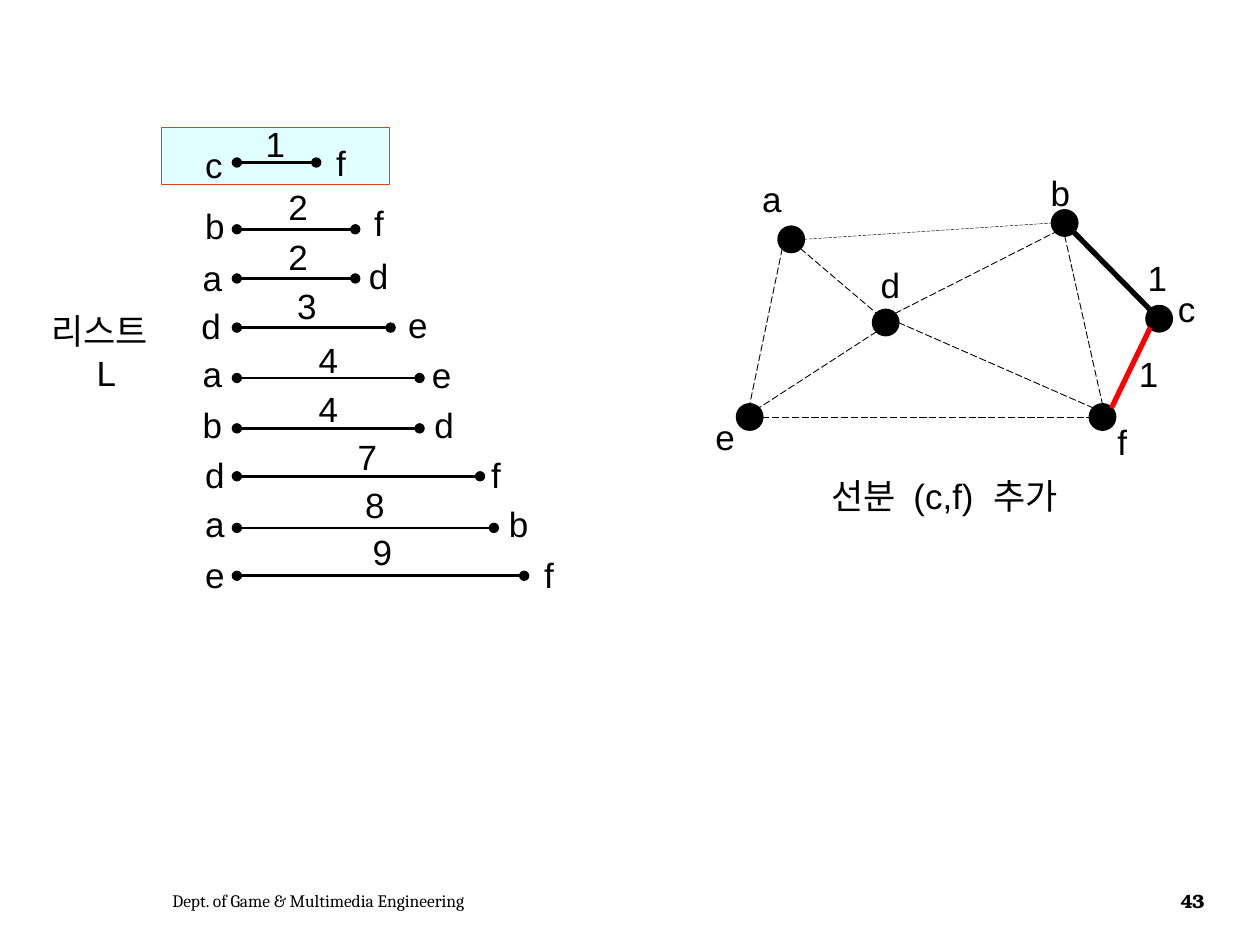
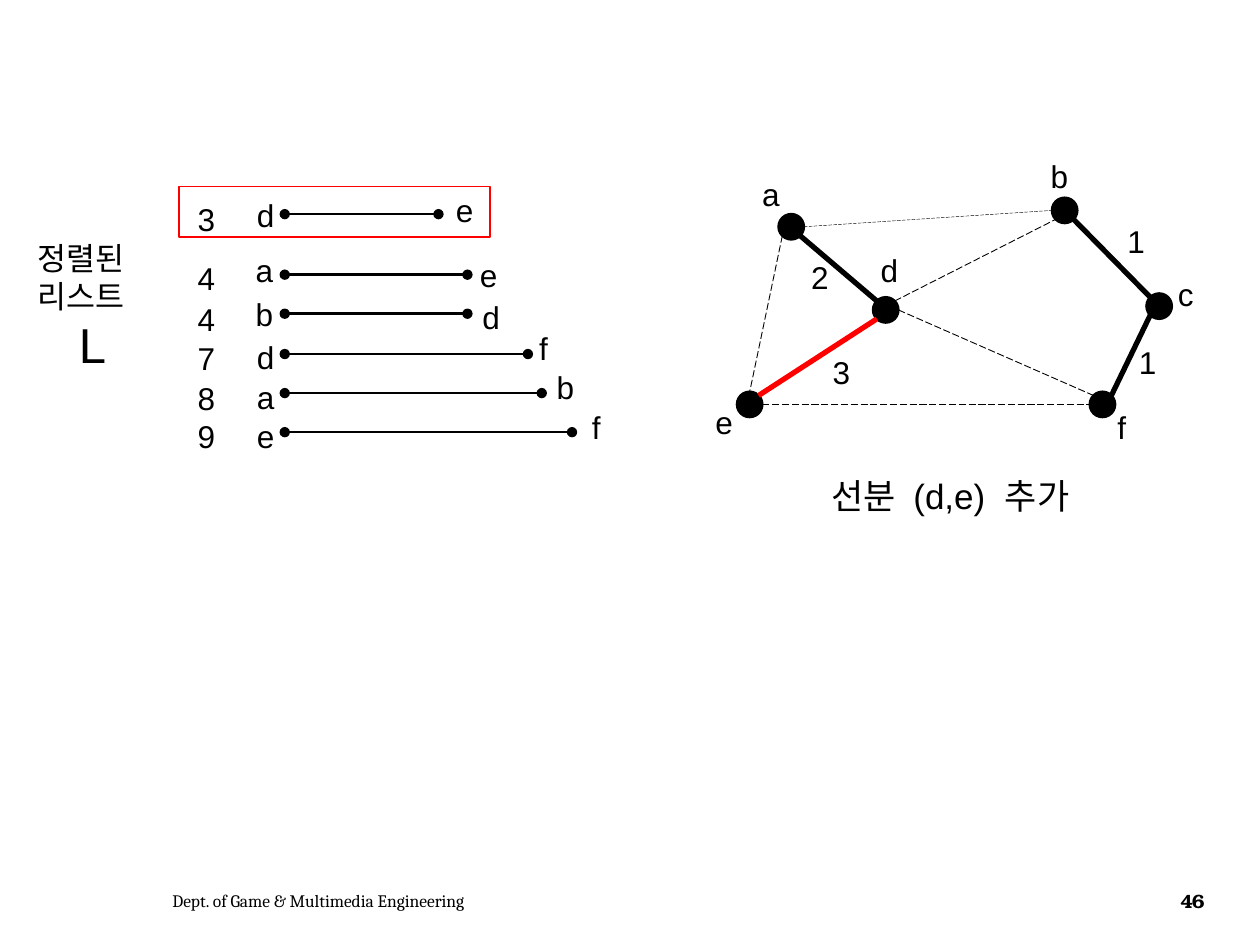
"""Two steps of Kruskal's algorithm: the sorted edge list beside the growing tree."""
from math import cos, radians, sin

from lxml import etree
from pptx import Presentation
from pptx import util as u
from pptx.dml.color import RGBColor
from pptx.enum import dml, shapes, text
from pptx.oxml.ns import qn

BLACK, RED = "000000", "FF0000"
DEPARTMENT = "Dept. of Game & Multimedia Engineering"
RADIUS = 0.1

NODES = {"a": (6.28, 1.9), "b": (8.45, 1.77), "c": (9.2, 2.53),
         "d": (7.03, 2.56), "e": (5.95, 3.31), "f": (8.75, 3.31)}

# Each end of an edge sits on one of eight points of its node, counted from the top.
EDGES = {"ad": (5, 1), "de": (3, 7), "ae": (3, 0), "df": (6, 1), "ef": (6, 2),
         "ab": (6, 2), "db": (7, 3), "cb": (1, 5), "fc": (7, 3), "bf": (4, 0)}

STEPS = [
    dict(
        page="43", size=20, graph_shift=0, absent=(), in_tree=("cb",), added="fc",
        caption=("선분", "(c,f)", "추가"),
        heading=("리스트", "L"), heading_at=(0.31, 2.41, 1.07, 0.77), heading_size=20,
        highlight=(1.28, 1.01, 1.81, 0.45), highlight_fill="E1FFFF",
        highlight_line=("D34817", 0.25),
        bar_left=1.88,
        bars=[
            (1.29, 2.51, ("1", 2.01, 0.92), ("c", 1.53, 1.09), ("f", 2.57, 1.07)),
            (1.82, 2.82, ("2", 2.19, 1.42), ("b", 1.53, 1.57), ("f", 2.87, 1.55)),
            (2.21, 2.82, ("2", 2.19, 1.82), ("a", 1.51, 1.99), ("d", 2.83, 1.97)),
            (2.6, 3.1, ("3", 2.26, 2.21), ("d", 1.5, 2.37), ("e", 3.14, 2.36)),
            (3.0, 3.33, ("4", 2.43, 2.64), ("a", 1.51, 2.75), ("e", 3.33, 2.76)),
            (3.4, 3.33, ("4", 2.43, 3.03), ("b", 1.51, 3.15), ("d", 3.35, 3.15)),
            (3.78, 3.81, ("7", 2.74, 3.41), ("d", 1.53, 3.55), ("f", 3.8, 3.55)),
            (4.19, 3.92, ("8", 2.8, 3.79), ("a", 1.53, 3.94), ("b", 3.94, 3.94)),
            (4.57, 4.16, ("9", 2.86, 4.16), ("e", 1.53, 4.34), ("f", 4.22, 4.34)),
        ],
        graph_labels=[
            ("a", 5.95, 1.36), ("b", 8.24, 1.31), ("c", 9.25, 2.23), ("d", 6.89, 2.04),
            ("e", 5.58, 3.25), ("f", 8.77, 3.29), ("1", 9.01, 1.99), ("1", 8.94, 2.75),
        ],
    ),
    dict(
        page="46", size=18, graph_shift=-0.1, absent=("bf",),
        in_tree=("cb", "fc", "ad"), added="de",
        caption=("선분", "(d,e)", "추가"),
        heading=("정렬된 리스트", "L"), heading_at=(0.2, 1.85, 1.07, 1.18), heading_size=28,
        highlight=(1.42, 1.48, 2.47, 0.4), highlight_fill=None, highlight_line=(RED, 1),
        bar_left=2.26,
        bars=[
            (1.7, 3.48, ("3", 1.47, 1.54), ("d", 1.94, 1.51), ("e", 3.52, 1.47)),
            (2.18, 3.71, ("4", 1.47, 2.01), ("a", 1.93, 1.94), ("e", 3.71, 1.98)),
            (2.49, 3.71, ("4", 1.47, 2.33), ("b", 1.93, 2.29), ("d", 3.73, 2.32)),
            (2.81, 4.19, ("7", 1.47, 2.64), ("d", 1.94, 2.63), ("f", 4.18, 2.56)),
            (3.12, 4.3, ("8", 1.47, 2.96), ("a", 1.94, 2.95), ("b", 4.32, 2.87)),
            (3.43, 4.54, ("9", 1.47, 3.26), ("e", 1.94, 3.26), ("f", 4.6, 3.19)),
        ],
        graph_labels=[
            ("a", 5.95, 1.34), ("b", 8.24, 1.2), ("c", 9.25, 2.13), ("d", 6.89, 1.94),
            ("e", 5.58, 3.15), ("f", 8.77, 3.19), ("1", 8.85, 1.71), ("1", 8.94, 2.67),
            ("2", 6.34, 2.0), ("3", 6.51, 2.75),
        ],
    ),
]


def cm(inches):
    return u.Cm(inches * 2.54)


def rgb(colour):
    return RGBColor.from_string(colour)


def style(run, size, font="Arial", bold=None):
    run.font.size, run.font.name, run.font.bold = u.Pt(size), font, bold
    run.font.color.rgb = rgb(BLACK)


def add_text(slide, box, words, size, font="Arial", bold=None, wrap=True):
    frame = slide.shapes.add_textbox(*map(cm, box)).text_frame
    frame.word_wrap = wrap
    frame.text = words
    for paragraph in frame.paragraphs:
        for run in paragraph.runs:
            style(run, size, font, bold)
    return frame


def add_label(slide, label, size):
    letter, left, top = label
    width = {"c": 0.34, "f": 0.29}.get(letter, 0.37) * (0.75 + size / 80)
    add_text(slide, (left, top, width, size / 50 + 0.04), letter, size, wrap=False)


def add_shape(slide, kind, box, fill, line):
    shape = slide.shapes.add_shape(kind, *map(cm, box))
    shape.shadow.inherit = False
    if fill:
        shape.fill.solid()
        shape.fill.fore_color.rgb = rgb(fill)
    else:
        shape.fill.background()
    shape.line.color.rgb, shape.line.width = rgb(line[0]), u.Pt(line[1])


def add_line(slide, start, end, colour, width, dashed=False, dots=False):
    line = slide.shapes.add_connector(
        shapes.MSO_CONNECTOR.STRAIGHT, *map(cm, (*start, *end)))
    line.line.color.rgb, line.line.width = rgb(colour), u.Pt(width)
    if dashed:
        line.line.dash_style = dml.MSO_LINE.LONG_DASH
    properties = line._element.spPr
    if dots:
        for end_tag in ("a:headEnd", "a:tailEnd"):
            etree.SubElement(properties.find(qn("a:ln")), qn(end_tag), type="oval")
    etree.SubElement(properties, qn("a:effectLst"))


def rim_point(node, site, shift):
    x, y = NODES[node]
    angle = radians(90 + 45 * site)
    return x + RADIUS * cos(angle), y + shift - RADIUS * sin(angle)


def draw_list(slide, step):
    add_shape(slide, shapes.MSO_SHAPE.RECTANGLE, step["highlight"],
              step["highlight_fill"], step["highlight_line"])
    for y, right, *labels in step["bars"]:
        add_line(slide, (right, y), (step["bar_left"], y), BLACK, 1.5, dots=True)
        for label in labels:
            add_label(slide, label, step["size"])
    heading = add_text(slide, step["heading_at"], "\n".join(step["heading"]), step["size"])
    symbol = heading.paragraphs[1]
    symbol.alignment = text.PP_ALIGN.CENTER
    symbol.runs[0].font.size = u.Pt(step["heading_size"])


def draw_graph(slide, step):
    shift = step["graph_shift"]
    for x, y in NODES.values():
        add_shape(slide, shapes.MSO_SHAPE.OVAL,
                  (x - RADIUS, y + shift - RADIUS, 2 * RADIUS, 2 * RADIUS),
                  BLACK, (BLACK, 1.5))
    for edge, sites in EDGES.items():
        if edge in step["absent"]:
            continue
        ends = [rim_point(node, site, shift) for node, site in zip(edge, sites)]
        if edge == step["added"]:
            add_line(slide, *ends, RED, 3)
        elif edge in step["in_tree"]:
            add_line(slide, *ends, BLACK, 3)
        else:
            add_line(slide, *ends, BLACK, 0.25 if edge == "ab" else 0.5, dashed=True)
    for label in step["graph_labels"]:
        add_label(slide, label, step["size"])


def draw_caption(slide, words):
    paragraph = add_text(slide, (6.5, 3.72, 2.1, 0.44), "", 20).paragraphs[0]
    for index, word in enumerate(words):
        if index:
            gap = paragraph.add_run()
            gap.text = " "
            style(gap, 20)
            gap._r.get_or_add_rPr().set("spc", "550")
        run = paragraph.add_run()
        run.text = word
        style(run, 20)


def draw_footer(slide, page):
    department = add_text(slide, (1.27, 6.95, 4.59, 0.4), DEPARTMENT, 10, "Cambria")
    number = add_text(slide, (9.2, 6.95, 0.53, 0.4), page, 11, "TeX Gyre Bonum", True)
    for frame in (department, number):
        frame.vertical_anchor = text.MSO_ANCHOR.MIDDLE
    number.paragraphs[0].alignment = text.PP_ALIGN.CENTER
    number.paragraphs[0].runs[0]._r.get_or_add_rPr().set("spc", "-70")


def main():
    deck = Presentation()
    deck.slide_width, deck.slide_height = cm(10), cm(7.5)
    for step in STEPS:
        slide = deck.slides.add_slide(deck.slide_layouts[6])
        draw_list(slide, step)
        draw_graph(slide, step)
        draw_caption(slide, step["caption"])
        draw_footer(slide, step["page"])
    deck.save("out.pptx")


if __name__ == "__main__":
    main()
